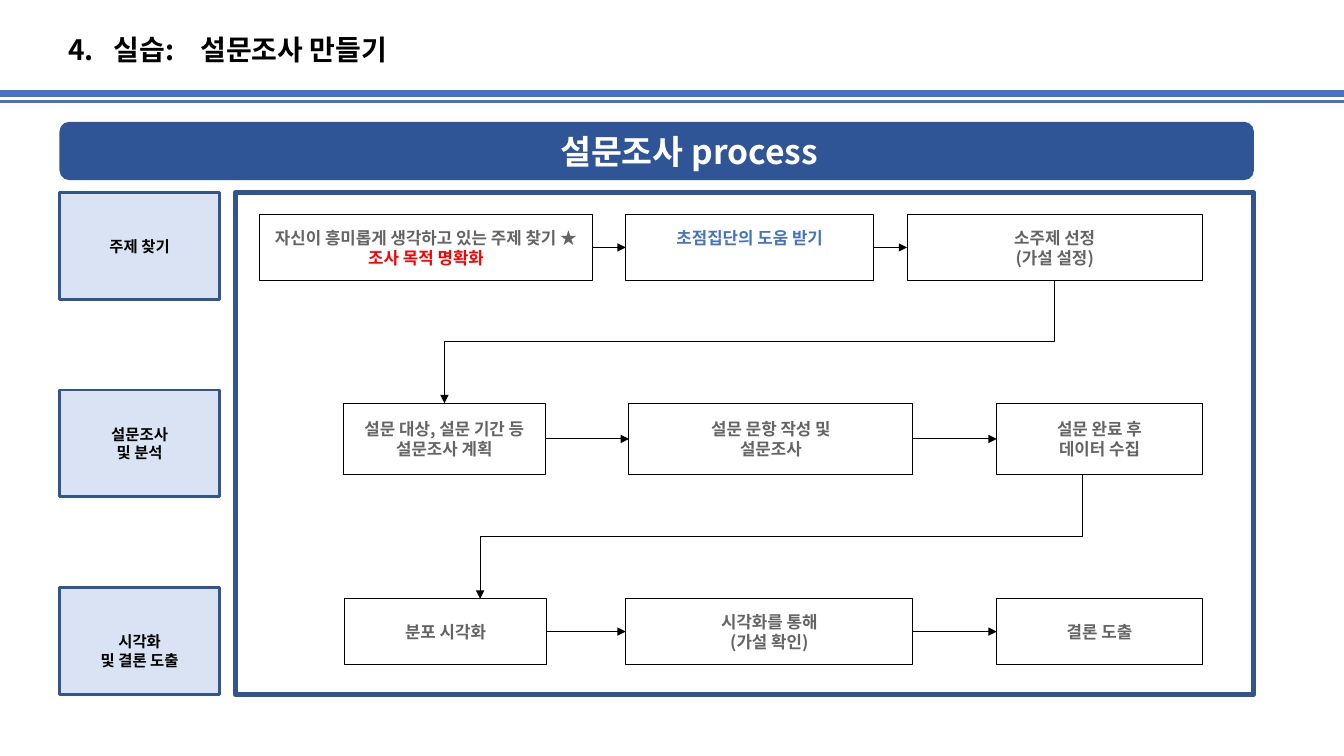
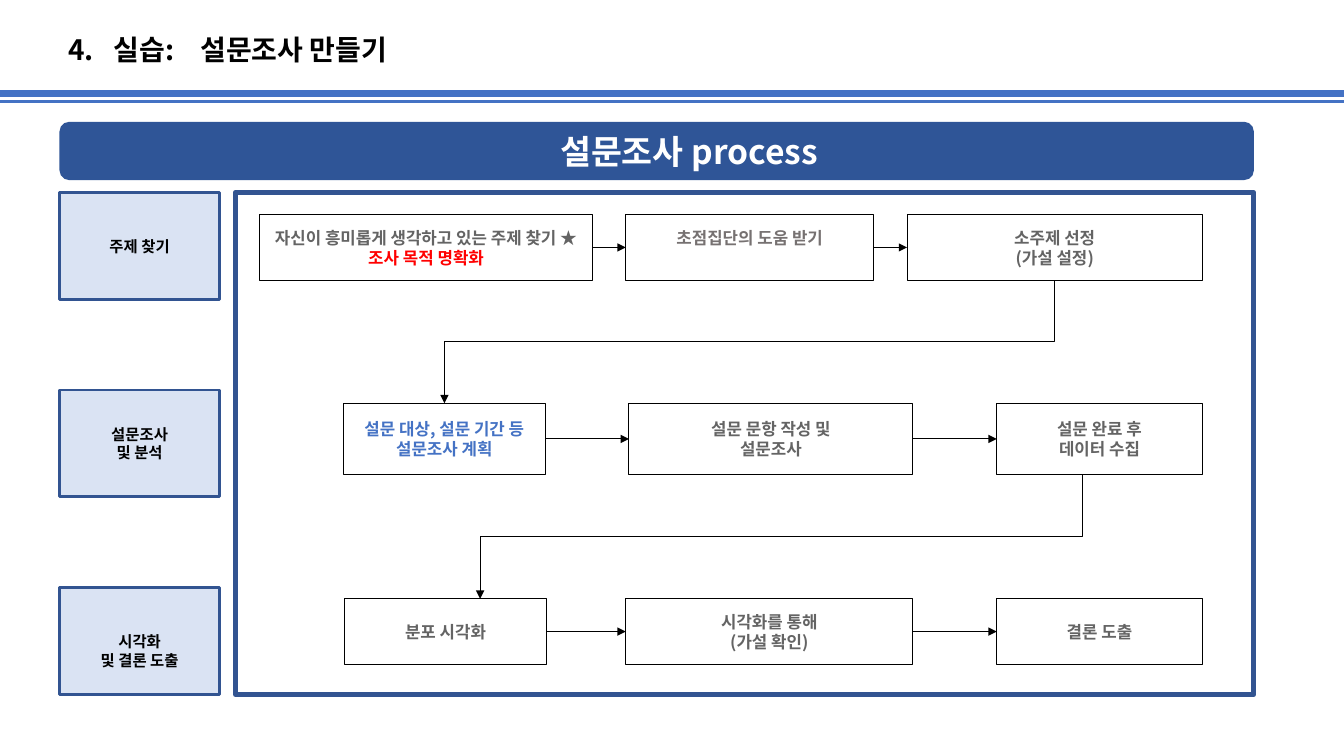
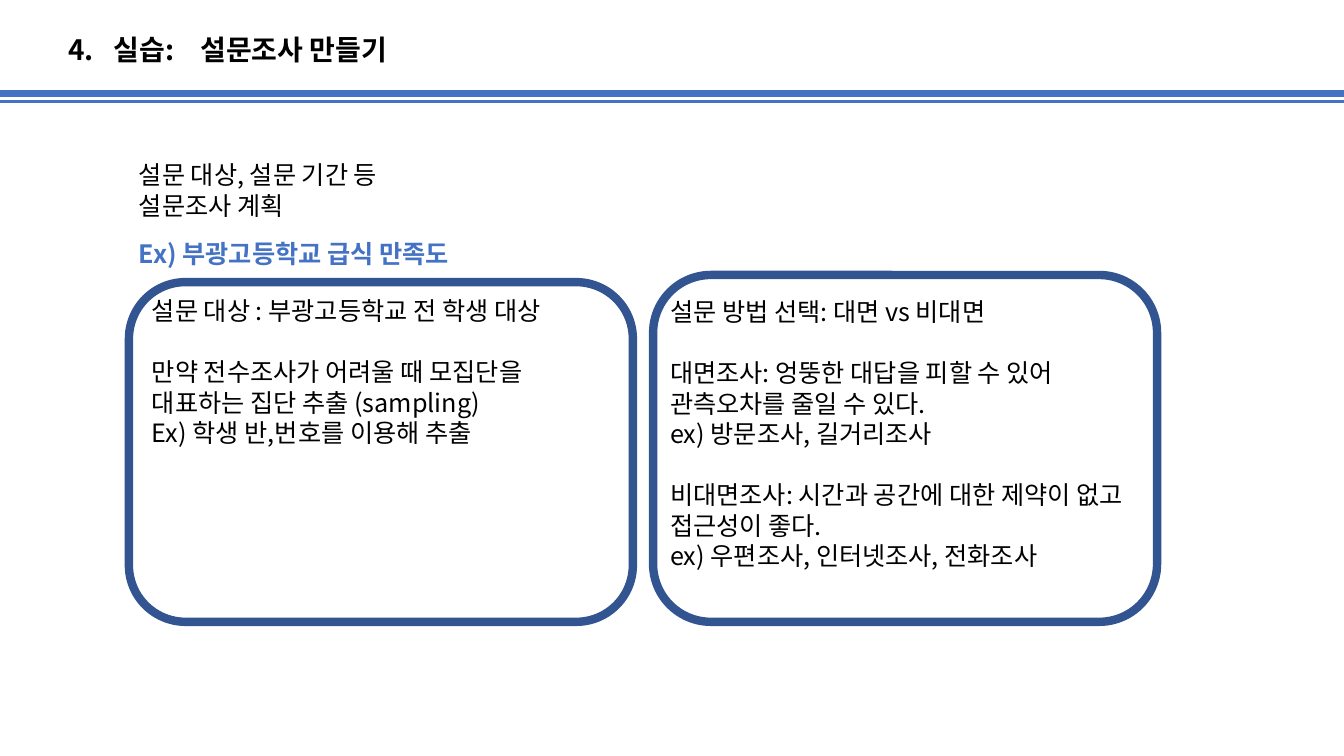
from lxml.etree import SubElement
from pptx import Presentation
from pptx.dml.color import RGBColor
from pptx.enum.shapes import MSO_CONNECTOR as Link, MSO_SHAPE as Form
from pptx.enum.text import MSO_ANCHOR as Anchor, PP_ALIGN as Align
from pptx.oxml.ns import qn
from pptx.util import Cm, Pt

FONT = "Noto Sans CJK KR"
COLOURS = {
    "rule": "4472C4", "frame": "325491", "banner": "2F5597", "stage": "DAE3F3",
    "black": "000000", "white": "FFFFFF", "grey": "646464", "warm": "767171",
    "red": "FF0000",
}
PAGE_WIDTH = 33.87
LINE_HEIGHT = 1.21
TITLE = "4.\t실습:\t설문조사 만들기"
TITLE_TABS = (1.14, 3.33)

STAGE_TOP, STAGE_PITCH = 4.85, 4.98
STAGES = [  # lines, top inset
    (["주제 찾기"], 0.13),
    (["설문조사", "및 분석"], 0.13),
    (["시각화", "및 결론 도출"], 0.61),
]
PURPOSE, FOCUS, PLAN = "조사 목적 명확화", "초점집단의 도움 받기", "설문 대상, 설문 기간 등"
PLAN_END = "설문조사 계획"
STEP_ROWS = [  # top, height, steps as left, width, lines
    (5.41, 1.65, [
        (6.55, 8.38, ["자신이 흥미롭게 생각하고 있는 주제 찾기 ★", PURPOSE]),
        (15.77, 6.25, [FOCUS]),
        (22.86, 7.44, ["소주제 선정", "(가설 설정)"])]),
    (10.16, 1.8, [
        (8.66, 5.08, [PLAN, PLAN_END]),
        (15.85, 7.16, ["설문 문항 작성 및", "설문조사"]),
        (25.12, 5.18, ["설문 완료 후", "데이터 수집"])]),
    (15.09, 1.65, [
        (8.69, 5.08, ["분포 시각화"]),
        (15.77, 7.24, ["시각화를 통해", "(가설 확인)"]),
        (25.12, 5.18, ["결론 도출"])]),
]
ROW_TURNS = [(26.58, 11.2), (27.28, 12.1)]
FOCUS_LIFT = 0.51

TARGET_NOTES = [
    ["설문 대상 : 부광고등학교 전 학생 대상"],
    ["만약 전수조사가 어려울 때 모집단을 대표하는 집단 추출 (sampling)",
     "Ex) 학생 반,번호를 이용해 추출"],
]
METHOD_NOTES = [
    ["설문 방법 선택: 대면 vs 비대면"],
    ["대면조사: 엉뚱한 대답을 피할 수 있어 관측오차를 줄일 수 있다.",
     "ex) 방문조사, 길거리조사"],
    ["비대면조사: 시간과 공간에 대한 제약이 없고 접근성이 좋다.",
     "ex) 우편조사, 인터넷조사, 전화조사"],
]


def rgb(name):
    return RGBColor.from_string(COLOURS[name])


def apply(target, values):
    for name, value in values.items():
        setattr(target, name, value)


def write(frame, groups, size, colour="black", bold=False, align=Align.LEFT,
          accents=None, tabs=()):
    """Fill a frame with groups of lines, one line height apart."""
    height = Pt(round(size * LINE_HEIGHT, 1))
    first = True
    for group in groups:
        for index, text in enumerate(group):
            para = frame.paragraphs[0] if first else frame.add_paragraph()
            if tabs:
                stops = SubElement(para._p.get_or_add_pPr(), qn("a:tabLst"))
                for stop in tabs:
                    SubElement(stops, qn("a:tab"), pos=str(Cm(stop)), algn="l")
            apply(para, {"alignment": align, "line_spacing": height})
            if index == 0 and not first:
                para.space_before = height
            span = para.add_run()
            span.text = text
            apply(span.font, {"size": Pt(size), "bold": bold, "name": FONT})
            span.font.color.rgb = rgb((accents or {}).get(text, colour))
            SubElement(span._r.get_or_add_rPr(), qn("a:ea"), typeface=FONT)
            first = False


def add_text(page, left, top, width, height, groups, size, **style):
    box = page.shapes.add_textbox(Cm(left), Cm(top), Cm(width), Cm(height))
    box.text_frame.word_wrap = True
    write(box.text_frame, groups, size, **style)


def add_box(page, form, left, top, width, height, fill=None, line=None, weight=1):
    box = page.shapes.add_shape(form, Cm(left), Cm(top), Cm(width), Cm(height))
    box.shadow.inherit = False
    if fill:
        box.fill.solid()
        box.fill.fore_color.rgb = rgb(fill)
    else:
        box.fill.background()
    if line:
        box.line.color.rgb = rgb(line)
        box.line.width = Pt(weight)
    else:
        box.line.fill.background()
    return box


def label(box, lines, size, left=0.1, top=0.13, bottom=0.13, **style):
    """Centre bold lines inside a box."""
    frame = box.text_frame
    apply(frame, {"word_wrap": True, "vertical_anchor": Anchor.MIDDLE,
                  "margin_left": Cm(left), "margin_right": Cm(0.1),
                  "margin_top": Cm(top), "margin_bottom": Cm(bottom)})
    write(frame, [lines], size, bold=True, align=Align.CENTER, **style)


def add_line(page, kind, start, end, colour="black", weight=0.75, arrow=True):
    line = page.shapes.add_connector(kind, *(Cm(n) for n in (*start, *end)))
    line.line.color.rgb = rgb(colour)
    line.line.width = Pt(weight)
    if arrow:
        SubElement(line.line._get_or_add_ln(), qn("a:tailEnd"), type="triangle")
    SubElement(line._element.spPr, qn("a:effectLst"))
    return line


def add_turn(page, start, end):
    """Elbow arrow that goes down, left and down again."""
    across, down = start[0] - end[0], end[1] - start[1]
    middle_x, middle_y = (start[0] + end[0]) / 2, (start[1] + end[1]) / 2
    turn = add_line(page, Link.ELBOW,
                    (middle_x - down / 2, middle_y - across / 2),
                    (middle_x + down / 2, middle_y + across / 2))
    turn._element.spPr.find(qn("a:xfrm")).set("rot", str(90 * 60000))


def add_page(deck):
    page = deck.slides.add_slide(deck.slide_layouts[6])
    for y, weight in ((2.35, 5), (2.56, 2.5)):
        add_line(page, Link.STRAIGHT, (0, y), (PAGE_WIDTH, y), "rule", weight, False)
    add_text(page, 1.47, 0.69, 10, 1.12, [[TITLE]], 20, bold=True, tabs=TITLE_TABS)
    return page


def add_steps(page, accents):
    for top, height, steps in STEP_ROWS:
        previous = None
        for left, width, lines in steps:
            box = add_box(page, Form.RECTANGLE, left, top, width, height,
                          line="black", weight=0.75)
            lift = FOCUS_LIFT if lines == [FOCUS] else 0
            label(box, lines, 12, bottom=0.13 + lift, colour="grey", accents=accents)
            if previous:
                arrow = add_line(page, Link.STRAIGHT, (0, 0), (1, 1))
                arrow.begin_connect(previous, 3)
                arrow.end_connect(box, 1)
            previous = box
    for (x, end_x), upper, lower in zip(ROW_TURNS, STEP_ROWS, STEP_ROWS[1:]):
        add_turn(page, (x, upper[0] + upper[1]), (end_x, lower[0]))


def add_process_page(deck, accents):
    page = add_page(deck)
    add_box(page, Form.RECTANGLE, 5.94, STAGE_TOP, 25.65, 12.65, line="frame", weight=4)
    for row, (lines, inset) in enumerate(STAGES):
        box = add_box(page, Form.RECTANGLE, 1.5, STAGE_TOP + row * STAGE_PITCH,
                      4.04, 2.69, "stage", "frame", 2)
        label(box, lines, 11, top=inset)
    banner = add_box(page, Form.ROUNDED_RECTANGLE, 1.5, 3.07, 30.1, 1.47, "banner")
    label(banner, ["설문조사 process"], 24, left=1.73, colour="white")
    add_steps(page, {PURPOSE: "red", **accents})


def add_plan_page(deck):
    page = add_page(deck)
    add_text(page, 3.25, 3.89, 9, 1.8, [[PLAN, PLAN_END]], 18)
    add_text(page, 3.25, 5.87, 11, 1.02, [["Ex) 부광고등학교 급식 만족도"]], 18,
             colour="rule", bold=True)
    add_text(page, 3.58, 7.32, 12, 4.11, TARGET_NOTES, 18)
    add_text(page, 16.64, 7.34, 12.6, 7.19, METHOD_NOTES, 18)
    for left, top, height in ((3.25, 7.11, 8.56), (16.46, 6.93, 8.74)):
        add_box(page, Form.ROUNDED_RECTANGLE, left, top, 12.7, height,
                line="frame", weight=6)


def main():
    deck = Presentation()
    apply(deck, {"slide_width": Cm(PAGE_WIDTH), "slide_height": Cm(19.05)})
    add_process_page(deck, {FOCUS: "rule"})
    add_process_page(deck, {FOCUS: "warm", PLAN: "rule", PLAN_END: "rule"})
    add_plan_page(deck)
    deck.save("out.pptx")


if __name__ == "__main__":
    main()
